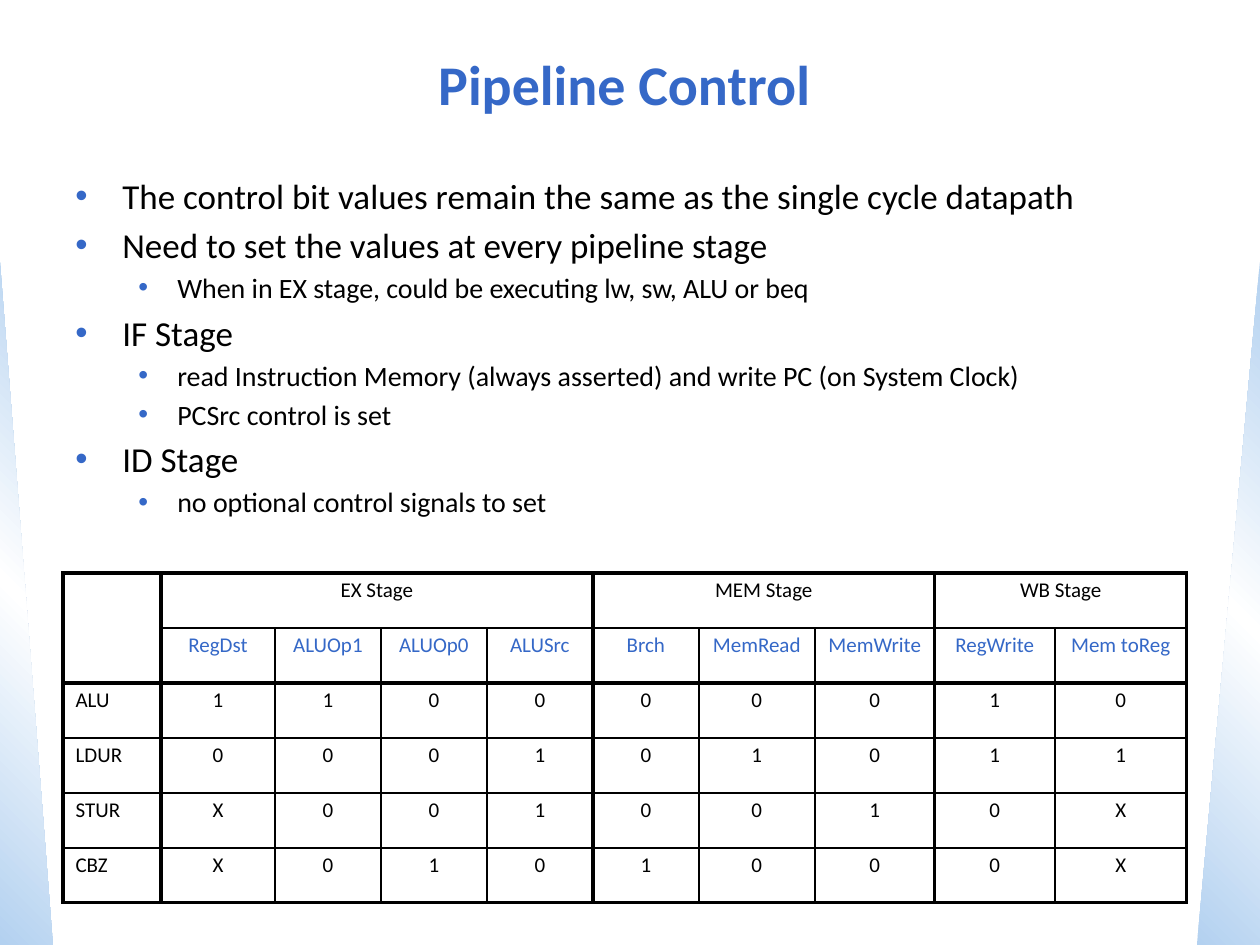
from copy import deepcopy

from lxml.etree import SubElement
from pptx import Presentation
from pptx.dml.color import RGBColor
from pptx.enum.shapes import MSO_SHAPE as Shape
from pptx.enum.text import MSO_ANCHOR as Anchor, PP_ALIGN as Align
from pptx.oxml.ns import qn
from pptx.util import Emu, Pt

BLUE, BLACK, PALE, WHITE = "3568C7", "000000", "B3D1F0", "FFFFFF"


def px(length):
    return Emu(round(length * 914400 / 126))


def style(font, size, color, bold=False):
    font.name = "Calibri"
    font.size = Pt(size)
    font.bold = bold
    font.color.rgb = RGBColor.from_string(color)


deck = Presentation()
deck.slide_width, deck.slide_height = px(1260), px(945)
page = deck.slides.add_slide(deck.slide_layouts[6])

for left, width, angle, flipped in [(0, 53, 45, False), (1197, 63, 315, True)]:
    wedge = page.shapes.add_shape(
        Shape.RIGHT_TRIANGLE, px(left), px(262), px(width), px(683))
    wedge.shadow.inherit = False
    wedge.line.fill.background()
    wedge.fill.gradient()
    wedge.fill.gradient_angle = angle
    stop_list = wedge.fill._xPr.find(qn("a:gradFill")).find(qn("a:gsLst"))
    stop_list.append(deepcopy(stop_list[0]))
    for stop, position, color in zip(
            wedge.fill.gradient_stops, (0, 0.5, 1), (PALE, WHITE, PALE)):
        stop.position = position
        stop.color.rgb = RGBColor.from_string(color)
    if flipped:
        wedge._element.spPr.xfrm.set("flipH", "1")

title = page.shapes.add_textbox(px(31), px(31), px(1187), px(105)).text_frame
title.word_wrap = True
title.vertical_anchor = Anchor.MIDDLE
heading = title.paragraphs[0]
heading.text = "Pipeline Control"
heading.alignment = Align.CENTER
style(heading.font, 32, BLUE, True)

points = [
    (0, "The control bit values remain the same as the single cycle datapath"),
    (0, "Need to set the values at every pipeline stage"),
    (1, "When in EX stage, could be executing lw, sw, ALU or beq"),
    (0, "IF Stage"),
    (1, "read Instruction Memory (always asserted) and write PC (on System Clock)"),
    (1, "PCSrc control is set"),
    (0, "ID Stage"),
    (1, "no optional control signals to set"),
]
levels = [(20, 4, 47, 47), (16, 3, 102, 39)]
body = page.shapes.add_textbox(px(63), px(168), px(1134), px(368)).text_frame
body.word_wrap = True
for index, (level, text) in enumerate(points):
    size, gap, margin, hanging = levels[level]
    para = body.add_paragraph() if index else body.paragraphs[0]
    para.text = text
    para.level = level
    properties = para._p.get_or_add_pPr()
    properties.set("marL", str(px(margin)))
    properties.set("indent", str(-px(hanging)))
    bullet_color = SubElement(properties, qn("a:buClr"))
    SubElement(bullet_color, qn("a:srgbClr"), val=BLUE)
    SubElement(properties, qn("a:buFont"), typeface="Arial")
    SubElement(properties, qn("a:buChar"), char="•")
    if index:
        para.space_before = Pt(gap)
    style(para.font, size, BLACK)

rows = [
    ["", "EX Stage", "", "", "", "MEM Stage", "", "", "WB Stage", ""],
    ["", "RegDst", "ALUOp1", "ALUOp0", "ALUSrc", "Brch", "MemRead",
     "MemWrite", "RegWrite", "Mem toReg"],
    ["ALU", *"110000010"],
    ["LDUR", *"000101011"],
    ["STUR", *"X0010010X"],
    ["CBZ", *"X0101000X"],
]
column_widths = [98, 114, 106, 106, 106, 106, 116, 120, 120, 132]
heavy_columns, heavy_rows = {0, 1, 5, 8, 10}, {0, 2, 6}
frame = page.shapes.add_table(
    len(rows), len(column_widths), px(63), px(573), px(sum(column_widths)), px(330))
table = frame.table
table.first_row = table.horz_banding = False
for column, width in zip(table.columns, column_widths):
    column.width = px(width)
for row in table.rows:
    row.height = px(55)
table.cell(0, 0).merge(table.cell(1, 0))
for first, last in [(1, 4), (5, 7), (8, 9)]:
    table.cell(0, first).merge(table.cell(0, last))

for r, values in enumerate(rows):
    for c, value in enumerate(values):
        cell = table.cell(r, c)
        cell_properties = cell._tc.get_or_add_tcPr()
        if not cell.is_spanned:
            edges = [
                ("a:lnL", c in heavy_columns),
                ("a:lnR", c + cell._tc.gridSpan in heavy_columns),
                ("a:lnT", r in heavy_rows),
                ("a:lnB", r + cell._tc.rowSpan in heavy_rows),
            ]
            for tag, heavy in edges:
                border = SubElement(
                    cell_properties, qn(tag), w=str(Pt(2.25 if heavy else 1)))
                border_fill = SubElement(border, qn("a:solidFill"))
                SubElement(border_fill, qn("a:srgbClr"), val=BLACK)
        cell.fill.background()
        para = cell.text_frame.paragraphs[0]
        para.text = value
        para.alignment = Align.CENTER if c else Align.LEFT
        para.line_spacing = 0.9
        style(para.font, 12, BLUE if r == 1 else BLACK)

deck.save("out.pptx")
